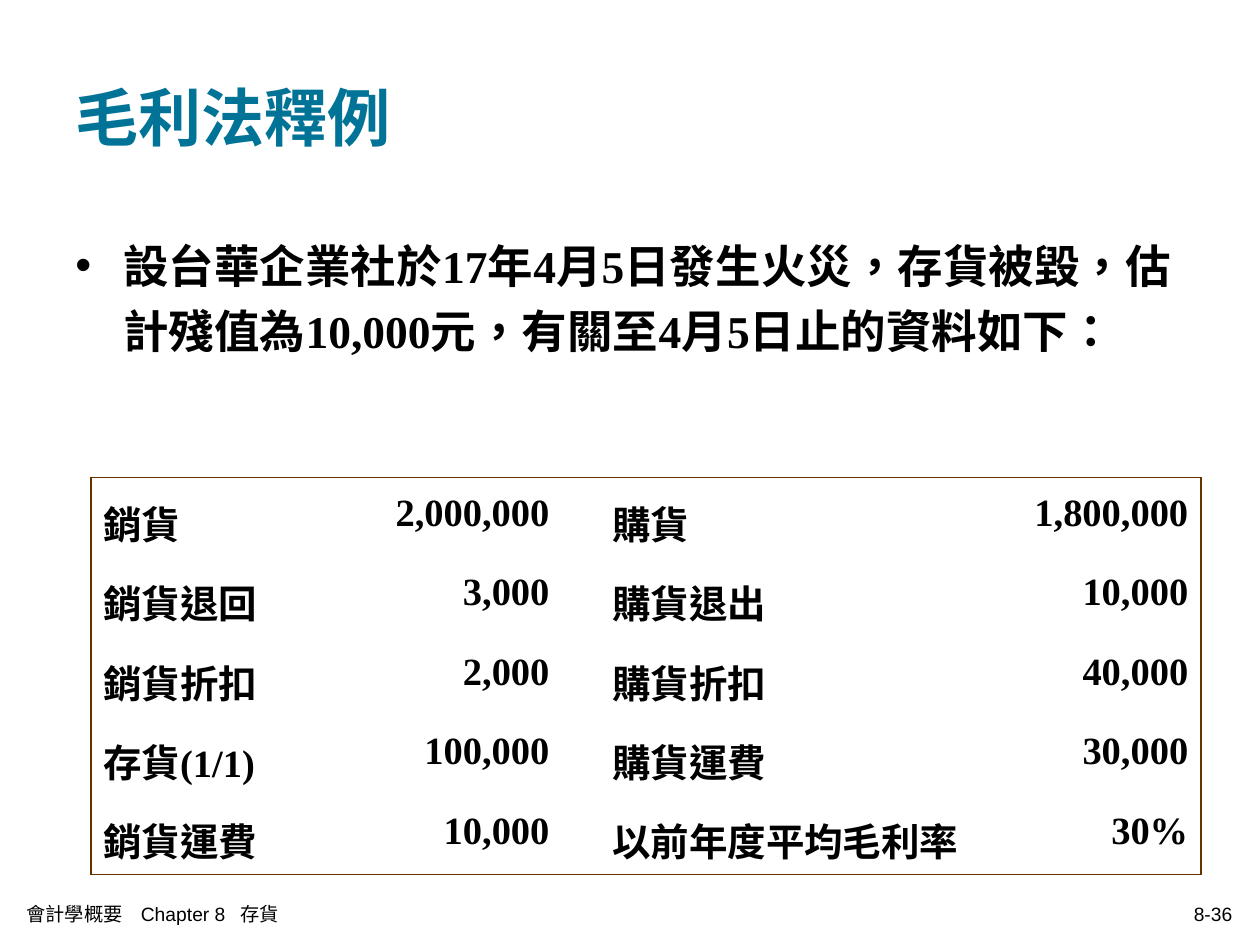
from lxml.etree import SubElement
from pptx import Presentation
from pptx.dml.color import RGBColor
from pptx.enum.lang import MSO_LANGUAGE_ID
from pptx.enum.text import MSO_ANCHOR, PP_ALIGN
from pptx.oxml.ns import qn
from pptx.util import Inches, Pt

COLORS = {"title": "007396", "text": "000000", "border": "663300"}
SERIF = {"name": "Times New Roman", "bold": True}
TITLE = {**SERIF, "size": Pt(36)}
BODY = {**SERIF, "size": Pt(26)}
CELL = {**SERIF, "size": Pt(22)}
FOOTER = {"name": "Arial", "size": Pt(11)}
SPACED = {"line_spacing": 1.2, "space_before": Pt(5.5)}
COLUMN_WIDTHS = [1.76, 1.98, 3.35, 1.72]
ROW_HEIGHT = 0.63
ROWS = [
    ("銷貨", "2,000,000", "購貨", "1,800,000"),
    ("銷貨退回", "3,000", "購貨退出", "10,000"),
    ("銷貨折扣", "2,000", "購貨折扣", "40,000"),
    ("存貨(1/1)", "100,000", "購貨運費", "30,000"),
    ("銷貨運費", "10,000", "以前年度平均毛利率", "30%"),
]


def set_values(target, values):
    """Set each named attribute of the target."""
    for name, value in values.items():
        setattr(target, name, value)


def write_text(paragraph, text, font, color="text", layout=None):
    """Fill a paragraph with one formatted run."""
    set_values(paragraph, layout or {})
    run = paragraph.add_run()
    run.text = text
    set_values(run.font, font)
    run.font.language_id = MSO_LANGUAGE_ID.TRADITIONAL_CHINESE
    run.font.color.rgb = RGBColor.from_string(COLORS[color])


def add_text_box(slide, bounds, anchor=MSO_ANCHOR.MIDDLE):
    """Add a wrapping text box and return its first paragraph."""
    box = slide.shapes.add_textbox(*map(Inches, bounds))
    set_values(box.text_frame, {"word_wrap": True, "vertical_anchor": anchor})
    return box.text_frame.paragraphs[0]


def add_bullet(paragraph, indent):
    """Give a paragraph a round bullet, a hanging indent and no hanging punctuation."""
    properties = paragraph._p.get_or_add_pPr()
    properties.set("marL", str(Inches(indent)))
    properties.set("indent", str(-Inches(indent)))
    properties.set("hangingPunct", "0")
    SubElement(properties, qn("a:buFont"), typeface="Arial")
    SubElement(properties, qn("a:buChar"), char="•")


def add_tabs(paragraph, positions):
    """Add left tab stops to a paragraph."""
    tabs = SubElement(paragraph._p.get_or_add_pPr(), qn("a:tabLst"))
    for position in positions:
        SubElement(tabs, qn("a:tab"), pos=str(Inches(position)), algn="l")


def set_borders(cell, visible_sides):
    """Draw the visible sides of a cell and clear the others."""
    properties = cell._tc.get_or_add_tcPr()
    for side, visible in visible_sides.items():
        line = SubElement(properties, qn(f"a:ln{side}"), w=str(Pt(1.08)))
        if visible:
            fill = SubElement(line, qn("a:solidFill"))
            SubElement(fill, qn("a:srgbClr"), val=COLORS["border"])
        else:
            SubElement(line, qn("a:noFill"))


def add_account_table(slide):
    """Add the table of account balances with an outer frame."""
    row_count, column_count = len(ROWS), len(COLUMN_WIDTHS)
    bounds = (0.72, 3.79, sum(COLUMN_WIDTHS), ROW_HEIGHT * row_count)
    table = slide.shapes.add_table(row_count, column_count, *map(Inches, bounds)).table
    set_values(table, {"first_row": False, "horz_banding": False})
    for column, width in zip(table.columns, COLUMN_WIDTHS):
        column.width = Inches(width)
    for row_index, values in enumerate(ROWS):
        table.rows[row_index].height = Inches(ROW_HEIGHT)
        for column_index, value in enumerate(values):
            cell = table.cell(row_index, column_index)
            set_borders(cell, {
                "L": column_index == 0,
                "R": column_index == column_count - 1,
                "T": row_index == 0,
                "B": row_index == row_count - 1,
            })
            cell.fill.background()
            cell.margin_left = Inches(0.4 if column_index == 2 else 0.1)
            alignment = PP_ALIGN.RIGHT if column_index % 2 else PP_ALIGN.LEFT
            write_text(cell.text_frame.paragraphs[0], value, CELL,
                       layout={**SPACED, "alignment": alignment})


def main():
    """Build and save the gross profit method slide."""
    presentation = Presentation()
    set_values(presentation, {"slide_width": Inches(10), "slide_height": Inches(7.5)})
    slide = presentation.slides.add_slide(presentation.slide_layouts[6])

    title = add_text_box(slide, (0.5, 0.3, 9, 1.25))
    write_text(title, "毛利法釋例", TITLE, "title")

    body = add_text_box(slide, (0.5, 1.75, 9, 4.95), MSO_ANCHOR.TOP)
    body.line_spacing = 1.2
    add_bullet(body, 0.38)
    write_text(body, "設台華企業社於17年4月5日發生火災，存貨被毀，"
               "估計殘值為10,000元，有關至4月5日止的資料如下：", BODY)

    add_account_table(slide)

    chapter = add_text_box(slide, (0.11, 7.09, 5.1, 0.33))
    add_tabs(chapter, (0.91, 1.7))
    write_text(chapter, "會計學概要\tChapter 8\t存貨", FOOTER)

    page = add_text_box(slide, (6.78, 7.09, 3.1, 0.33))
    write_text(page, "8-36", FOOTER, layout={"alignment": PP_ALIGN.RIGHT})

    presentation.save("out.pptx")


if __name__ == "__main__":
    main()
